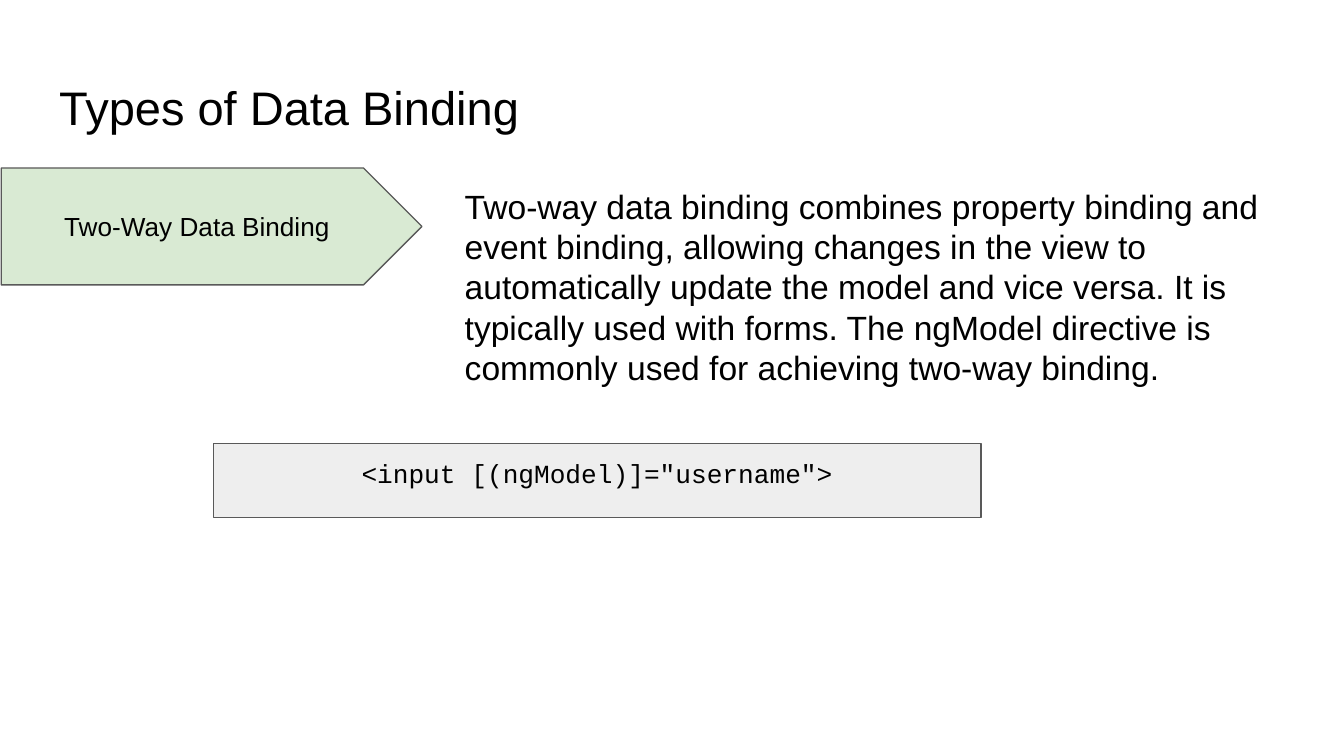
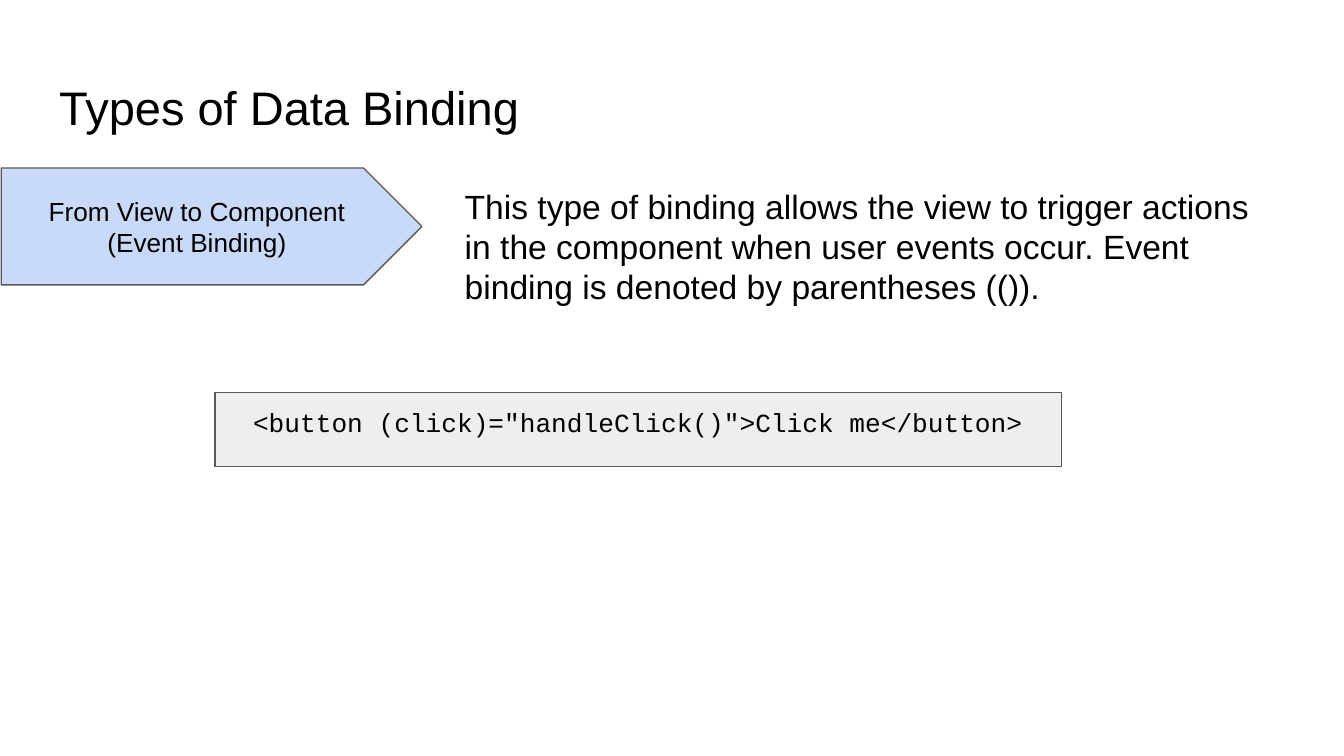
from pptx import Presentation
from pptx import util as u
from pptx.dml.color import RGBColor
from pptx.enum import shapes, text

WIDTH = u.Inches(10)
HEIGHT = WIDTH * 9 // 16
COLUMNS, ROWS = 100, 56.25
COLORS = {
    "ink": "000000",
    "outline": "595959",
    "code": "EEEEEE",
    "two_way": "D9EAD3",
    "event": "C9DAF8",
}
SANS, MONO = "Arial", "Courier New"
LEFT, CENTER = text.PP_ALIGN.LEFT, text.PP_ALIGN.CENTER
TOP, MIDDLE = text.MSO_ANCHOR.TOP, text.MSO_ANCHOR.MIDDLE

BINDINGS = [
    {
        "label": "Two-Way Data Binding",
        "color": "two_way",
        "explanation": "Two-way data binding combines property binding and event binding, "
        "allowing changes in the view to automatically update the model and vice versa. "
        "It is typically used with forms. The ngModel directive is commonly used for "
        "achieving two-way binding.",
        "explanation_box": (33.6, 12.8, 62.3, 17.2),
        "code": '<input [(ngModel)]="username">',
        "code_box": (15.9, 33, 57.1, 5.5),
    },
    {
        "label": "From View to Component (Event Binding)",
        "color": "event",
        "explanation": "This type of binding allows the view to trigger actions in the "
        "component when user events occur. Event binding is denoted by parentheses (()).",
        "explanation_box": (33.6, 12.8, 62.3, 11.1),
        "code": '<button (click)="handleClick()">Click me</button>',
        "code_box": (16, 29.2, 63, 5.5),
    },
]


def grid(box):
    """Turn columns and rows into slide lengths."""
    left, top, width, height = box
    column, row = WIDTH / COLUMNS, HEIGHT / ROWS
    return [round(n) for n in (left * column, top * row, width * column, height * row)]


def rgb(name):
    """Look up a named colour."""
    return RGBColor.from_string(COLORS[name])


def write(frame, words, size, font=SANS, align=LEFT, anchor=TOP):
    """Fill a text frame with one formatted paragraph."""
    frame.word_wrap = True
    frame.auto_size = text.MSO_AUTO_SIZE.NONE
    frame.vertical_anchor = anchor
    frame.margin_left = frame.margin_right = u.Inches(0.1)
    frame.margin_top = frame.margin_bottom = u.Inches(0.1)
    paragraph = frame.paragraphs[0]
    paragraph.text = words
    paragraph.alignment = align
    paragraph.font.name = font
    paragraph.font.size = u.Pt(size)
    paragraph.font.color.rgb = rgb("ink")


def add_title(slide, box, words):
    """Place the title placeholder."""
    title = slide.shapes.title
    title.left, title.top, title.width, title.height = grid(box)
    write(title.text_frame, words, 25.2)


def add_panel(slide, box, preset, color, words, font=SANS, anchor=TOP):
    """Draw an outlined shape with centred text."""
    panel = slide.shapes.add_shape(preset, *grid(box))
    panel.shadow.inherit = False
    panel.fill.solid()
    panel.fill.fore_color.rgb = rgb(color)
    panel.line.color.rgb = rgb("outline")
    panel.line.width = u.Pt(0.75)
    write(panel.text_frame, words, 14, font, CENTER, anchor)


def add_explanation(slide, box, words):
    """Place the explanatory text."""
    explanation = slide.shapes.add_textbox(*grid(box))
    write(explanation.text_frame, words, 18)
    explanation.text_frame.auto_size = text.MSO_AUTO_SIZE.SHAPE_TO_FIT_TEXT


def add_binding_slide(deck, binding):
    """Build one slide about a type of binding."""
    slide = deck.slides.add_slide(deck.slide_layouts.get_by_name("Title Only"))
    add_title(slide, (3.4, 4.87, 93.2, 6.3), "Types of Data Binding")
    add_panel(slide, (0.1, 12.5, 31.3, 8.7), shapes.MSO_SHAPE.PENTAGON,
              binding["color"], binding["label"], anchor=MIDDLE)
    add_explanation(slide, binding["explanation_box"], binding["explanation"])
    add_panel(slide, binding["code_box"], shapes.MSO_SHAPE.RECTANGLE,
              "code", binding["code"], font=MONO)


def main():
    """Build and save the deck."""
    deck = Presentation()
    deck.slide_width, deck.slide_height = WIDTH, HEIGHT
    for binding in BINDINGS:
        add_binding_slide(deck, binding)
    deck.save("out.pptx")


if __name__ == "__main__":
    main()
